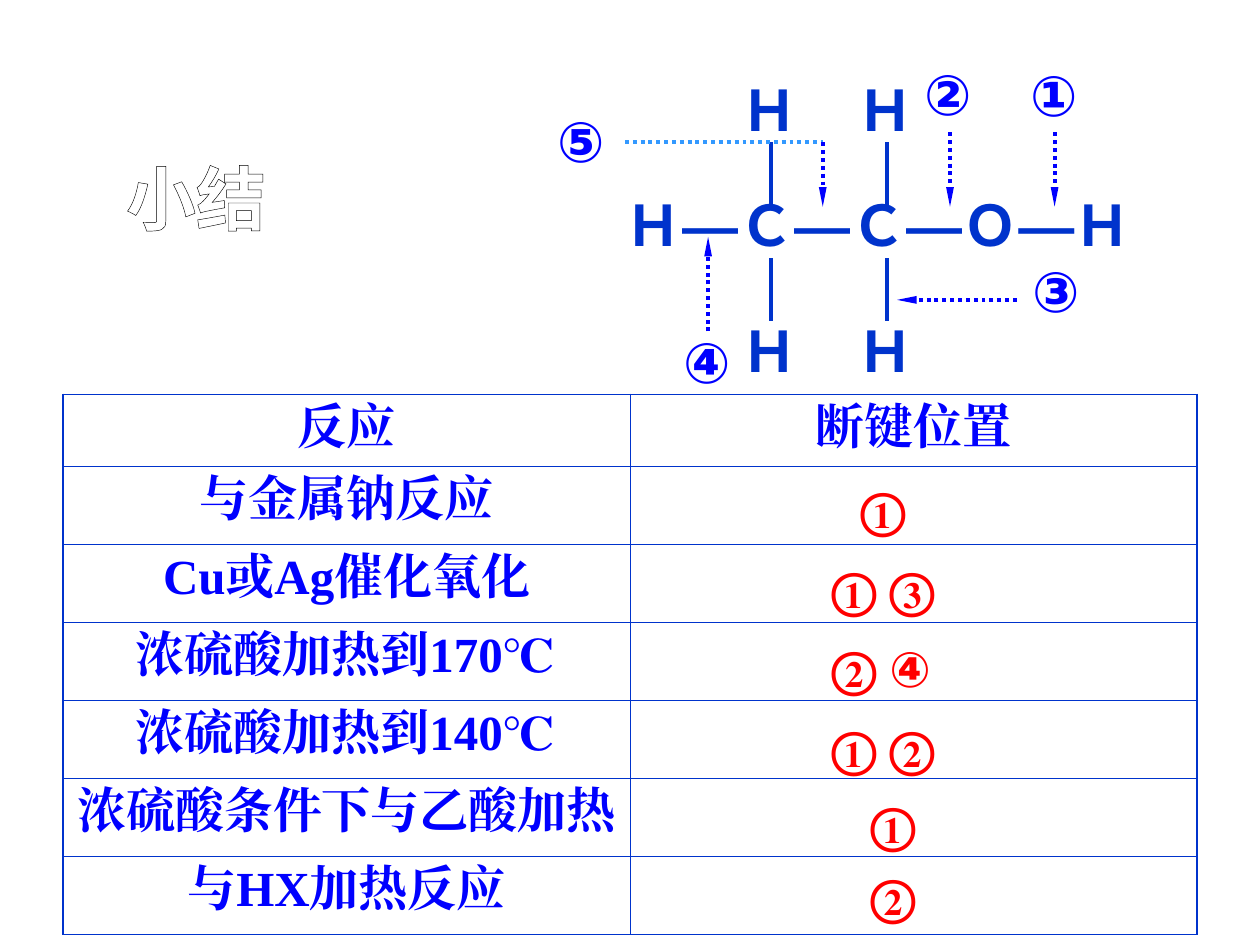
from lxml.etree import SubElement
from pptx import Presentation
from pptx.dml.color import RGBColor
from pptx.enum.dml import MSO_LINE
from pptx.enum.shapes import MSO_CONNECTOR
from pptx.enum.text import MSO_ANCHOR, MSO_AUTO_SIZE, PP_ALIGN
from pptx.oxml.ns import qn
from pptx.util import Pt

PX = 9144  # 100 px to the inch
COLORS = {name: RGBColor.from_string(value) for name, value in {
    "label": "0000FF", "bond": "0033CC", "guide": "3399FF",
    "answer": "FF0000", "title": "FFFFFF", "outline": "000000",
}.items()}


def add_run(paragraph, text, size, font_name, color):
    """Add a bold run whose Latin and East Asian fonts are the same."""
    run = paragraph.add_run()
    run.text = text
    for name, value in {"size": Pt(size), "name": font_name, "bold": True}.items():
        setattr(run.font, name, value)
    run.font.color.rgb = COLORS[color]
    latin = run.font._element.find(qn("a:latin"))
    east_asian = latin.makeelement(qn("a:ea"), {"typeface": font_name})
    latin.addnext(east_asian)
    return run


def add_label(left, top, width, height, runs, size, color, wrap):
    """Add a one-line text box from (text, font name) pairs."""
    box = slide.shapes.add_textbox(left * PX, top * PX, width * PX, height * PX)
    box.text_frame.word_wrap = wrap
    box.text_frame.auto_size = MSO_AUTO_SIZE.SHAPE_TO_FIT_TEXT
    for text, font_name in runs:
        add_run(box.text_frame.paragraphs[0], text, size, font_name, color)


presentation = Presentation()
presentation.slide_width = 1000 * PX
presentation.slide_height = 750 * PX
slide = presentation.slides.add_slide(presentation.slide_layouts[5])

# Title
title = slide.shapes.title
for name, value in {"left": 90, "top": 118, "width": 261, "height": 115}.items():
    setattr(title, name, value * PX)
for name, value in {"word_wrap": False, "auto_size": MSO_AUTO_SIZE.NONE,
                    "vertical_anchor": MSO_ANCHOR.TOP}.items():
    setattr(title.text_frame, name, value)
title_paragraph = title.text_frame.paragraphs[0]
title_paragraph.alignment = PP_ALIGN.LEFT
title_run = add_run(title_paragraph, "小结", 40, "Noto Sans CJK SC", "title")
outline = title_run.font._element.makeelement(qn("a:ln"), {"w": str(Pt(0.75))})
outline_fill = SubElement(outline, qn("a:solidFill"))
SubElement(outline_fill, qn("a:srgbClr"), val=str(COLORS["outline"]))
title_run.font._element.insert(0, outline)

# Bond numbers and atoms of the ethanol molecule
for number, left, top in [("②", 724, 42), ("①", 808, 43), ("⑤", 433, 80),
                          ("③", 810, 199), ("④", 533, 255)]:
    add_label(left, top, 57, 64, [(number, "Arial")], 32, "label", False)
add_label(487, 146, 433, 64, [("Ｈ―Ｃ―Ｃ―Ｏ―Ｈ", "Arial")], 32, "bond", True)
for top in (55, 246):
    for left in (579, 671):
        add_label(left, top, 64, 64, [("Ｈ", "Arial")], 32, "bond", False)

# Vertical bonds, then the dotted pointers: x1, y1, x2, y2, color, dotted, arrow
lines = [(x, y, x, y + 50, "bond", False, False) for y in (205, 113) for x in (612, 704)]
lines += [
    (496, 113, 653, 113, "guide", True, False),
    (653, 113, 653, 164, "label", True, True),
    (754, 105, 754, 164, "label", True, True),
    (837, 105, 837, 164, "label", True, True),
    (807, 238, 712, 238, "label", True, True),
    (562, 263, 562, 188, "label", True, True),
]
for x1, y1, x2, y2, color, dotted, arrow in lines:
    connector = slide.shapes.add_connector(
        MSO_CONNECTOR.STRAIGHT, x1 * PX, y1 * PX, x2 * PX, y2 * PX)
    connector.line.color.rgb = COLORS[color]
    connector.line.width = Pt(2.25)
    if dotted:
        connector.line.dash_style = MSO_LINE.ROUND_DOT
    if arrow:
        SubElement(connector.line._get_or_add_ln(), qn("a:tailEnd"),
                   type="triangle", w="sm", len="lg")
    SubElement(connector._element.spPr, qn("a:effectLst"))

# Table of reactions
rows = [
    ("反应", "断键位置"),
    ("与金属钠反应", ""),
    ("Cu或Ag催化氧化", ""),
    ("浓硫酸加热到170℃", ""),
    ("浓硫酸加热到140℃", ""),
    ("浓硫酸条件下与乙酸加热", ""),
    ("与HX加热反应", ""),
]
last_row = len(rows) - 1
table = slide.shapes.add_table(
    len(rows), 2, 50 * PX, 313 * PX, 900 * PX, 429 * PX).table
table.first_row = table.horz_banding = False
for row_index, row in enumerate(rows):
    table.rows[row_index].height = (62 if row_index else 57) * PX
    for column_index, text in enumerate(row):
        cell = table.cell(row_index, column_index)
        if text:
            paragraph = cell.text_frame.paragraphs[0]
            paragraph.alignment = PP_ALIGN.CENTER
            paragraph.space_before = Pt(7)
            add_run(paragraph, text, 28, "Times New Roman", "label")
        cell_properties = cell._tc.get_or_add_tcPr()
        outer_edges = {"a:lnL": column_index == 0, "a:lnR": column_index == 1,
                       "a:lnT": row_index == 0, "a:lnB": row_index == last_row}
        for tag, is_outer in outer_edges.items():
            border = SubElement(cell_properties, qn(tag),
                                w=str(Pt(1.08 if is_outer else 0.45)))
            border_fill = SubElement(border, qn("a:solidFill"))
            SubElement(border_fill, qn("a:srgbClr"), val=str(COLORS["bond"]))
        cell.fill.background()

# Answers over the right column
serif = "Times New Roman"
for left, top, width, runs in [
    (650, 502, 181, [("② ", serif), ("④", "Arial")]),
    (681, 683, 102, [("②", serif)]),
    (650, 439, 150, [("① ③", serif)]),
    (650, 565, 205, [("① ②", serif)]),
    (673, 376, 71, [("①", serif)]),
    (681, 626, 102, [("①", serif)]),
]:
    add_label(left, top, width, 57, runs, 28, "answer", True)

presentation.save("out.pptx")
